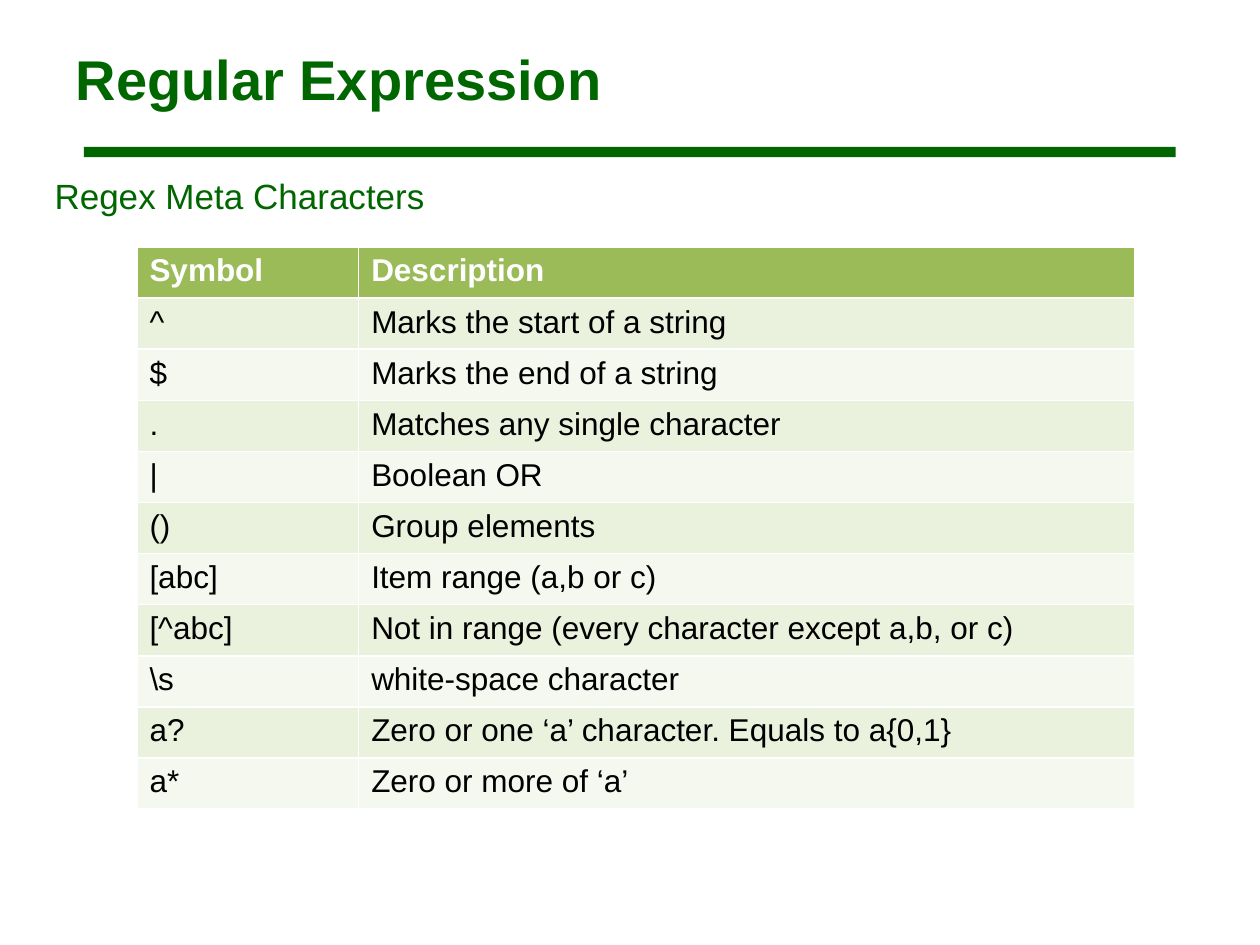
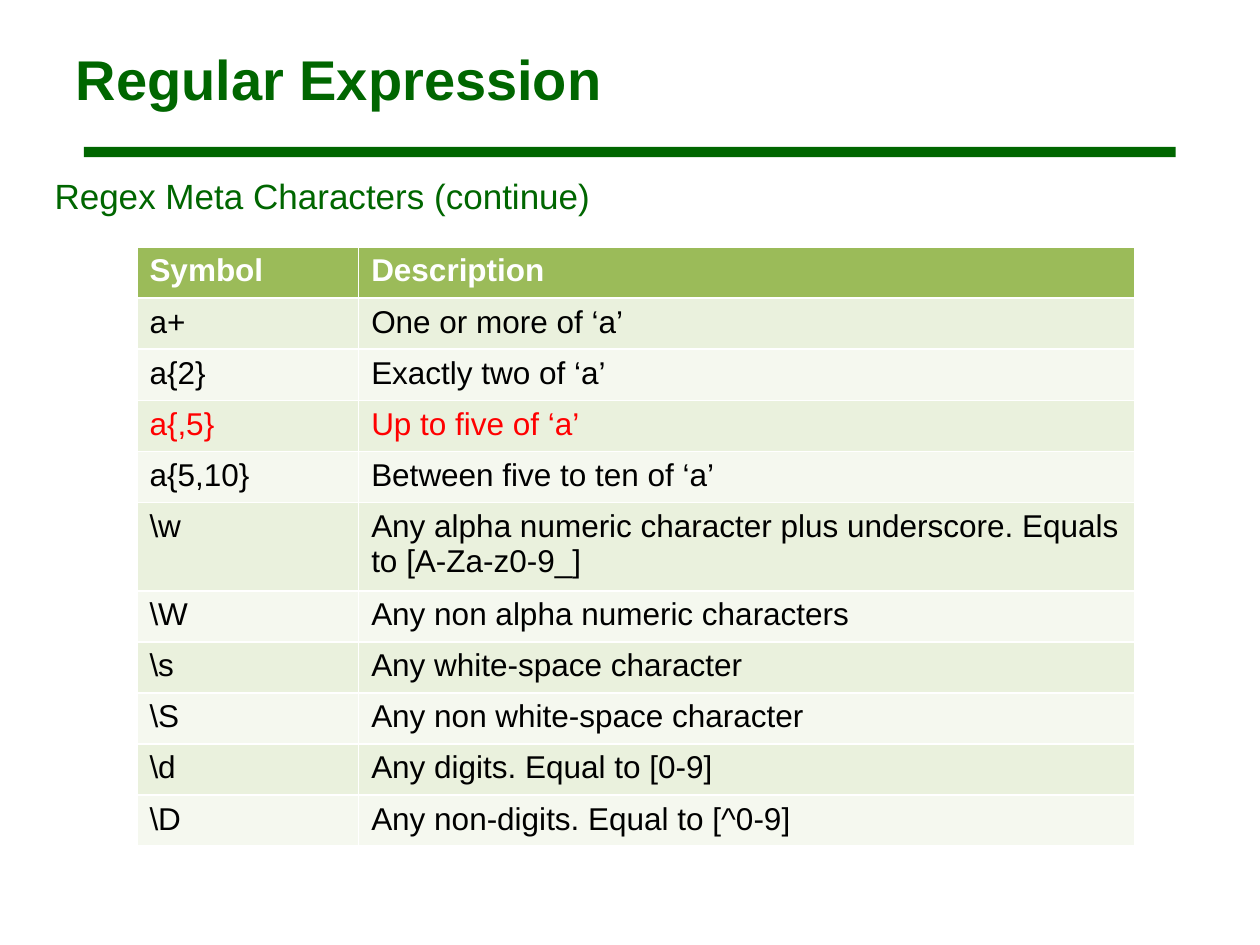
from pptx import Presentation
from pptx.dml.color import RGBColor
from pptx.enum.shapes import MSO_SHAPE as Shape
from pptx.enum.text import MSO_ANCHOR as Anchor, PP_ALIGN as Align
from pptx.util import Cm, Pt

DARK_GREEN = RGBColor(0x00, 0x66, 0x00)
HEADER_GREEN = RGBColor(0x9B, 0xBB, 0x59)
ODD_ROW = RGBColor(0xEA, 0xF1, 0xDD)
EVEN_ROW = RGBColor(0xF5, 0xF8, 0xEF)
WHITE = RGBColor(0xFF, 0xFF, 0xFF)
BLACK = RGBColor(0x00, 0x00, 0x00)
RED = RGBColor(0xFF, 0x00, 0x00)

TITLE_ONLY = 5
COLUMN_WIDTHS = (Cm(4.47), Cm(15.65))
ROW_HEIGHT = Cm(1.03)
HEADER = ("Symbol", "Description")

FIRST_SYMBOLS = [
    ("^", "Marks the start of a string"),
    ("$", "Marks the end of a string"),
    (".", "Matches any single character"),
    ("|", "Boolean OR"),
    ("()", "Group elements"),
    ("[abc]", "Item range (a,b or c)"),
    ("[^abc]", "Not in range (every character except a,b, or c)"),
    (r"\s", "white-space character"),
    ("a?", "Zero or one ‘a’ character. Equals to a{0,1}"),
    ("a*", "Zero or more of ‘a’"),
]
MORE_SYMBOLS = [
    ("a+", "One or more of ‘a’"),
    ("a{2}", "Exactly two of ‘a’"),
    ("a{,5}", "Up to five of ‘a’"),
    ("a{5,10}", "Between five to ten of ‘a’"),
    (r"\w", "Any alpha numeric character plus underscore. Equals to [A-Za-z0-9_]"),
    (r"\W", "Any non alpha numeric characters"),
    (r"\s", "Any white-space character"),
    (r"\S", "Any non white-space character"),
    (r"\d", "Any digits. Equal to [0-9]"),
    (r"\D", "Any non-digits. Equal to [^0-9]"),
]


class Deck:
    title_format = {"size": Pt(32), "bold": True}
    subtitle_format = {"size": Pt(20), "bold": False}
    header_format = {"size": Pt(18), "bold": True}
    body_format = {"size": Pt(18), "bold": False}

    def __init__(self):
        self.presentation = Presentation()
        self.presentation.slide_width = Cm(25.4)
        self.presentation.slide_height = Cm(19.05)
        self.slide = None

    def add_text(self, frame, text, font_format, color):
        """Put one run of text in the frame and return its paragraph."""
        paragraph = frame.paragraphs[0]
        run = paragraph.add_run()
        run.text = text
        for name, value in {"name": "Arial", **font_format}.items():
            setattr(run.font, name, value)
        run.font.color.rgb = color
        return paragraph

    def add_slide(self, title):
        layout = self.presentation.slide_layouts[TITLE_ONLY]
        self.slide = self.presentation.slides.add_slide(layout)
        self.add_band()
        self.set_title(title)

    def set_title(self, text):
        title = self.slide.shapes.title
        place = {"left": Cm(1.27), "top": Cm(0.42), "width": Cm(22.86), "height": Cm(2.33)}
        for name, value in place.items():
            setattr(title, name, value)
        title.text_frame.vertical_anchor = Anchor.MIDDLE
        paragraph = self.add_text(title.text_frame, text, self.title_format, DARK_GREEN)
        paragraph.alignment = Align.LEFT

    def add_band(self):
        band = self.slide.shapes.add_shape(
            Shape.RECTANGLE, Cm(1.69), Cm(2.96), Cm(22.01), Cm(0.21))
        band.shadow.inherit = False
        band.fill.solid()
        band.fill.fore_color.rgb = DARK_GREEN
        band.line.fill.background()

    def add_subtitle(self, text):
        box = self.slide.shapes.add_textbox(Cm(0.85), Cm(3.39), Cm(14.4), Cm(1.27))
        box.text_frame.word_wrap = True
        paragraph = self.add_text(box.text_frame, text, self.subtitle_format, DARK_GREEN)
        properties = paragraph._p.get_or_add_pPr()
        properties.set("marL", str(Cm(0.95)))
        properties.set("indent", str(-Cm(0.95)))

    def add_symbol_table(self, symbols, highlighted=()):
        """Add the two-column table, with the highlighted symbols in red."""
        rows = [HEADER, *symbols]
        table = self.slide.shapes.add_table(
            len(rows), len(HEADER), Cm(2.76), Cm(4.98),
            sum(COLUMN_WIDTHS), ROW_HEIGHT * len(rows)).table
        for column, width in zip(table.columns, COLUMN_WIDTHS):
            column.width = width
        for row_index, row in enumerate(rows):
            if row_index == 0:
                fill, color, font_format = HEADER_GREEN, WHITE, self.header_format
            else:
                fill = ODD_ROW if row_index % 2 else EVEN_ROW
                color = RED if row[0] in highlighted else BLACK
                font_format = self.body_format
            for column_index, text in enumerate(row):
                cell = table.cell(row_index, column_index)
                cell.fill.solid()
                cell.fill.fore_color.rgb = fill
                self.add_text(cell.text_frame, text, font_format, color)


def main():
    deck = Deck()
    for subtitle, symbols, highlighted in (
        ("Regex Meta Characters", FIRST_SYMBOLS, ()),
        ("Regex Meta Characters (continue)", MORE_SYMBOLS, ("a{,5}",)),
    ):
        deck.add_slide("Regular Expression")
        deck.add_subtitle(subtitle)
        deck.add_symbol_table(symbols, highlighted)
    deck.presentation.save("out.pptx")


if __name__ == "__main__":
    main()
